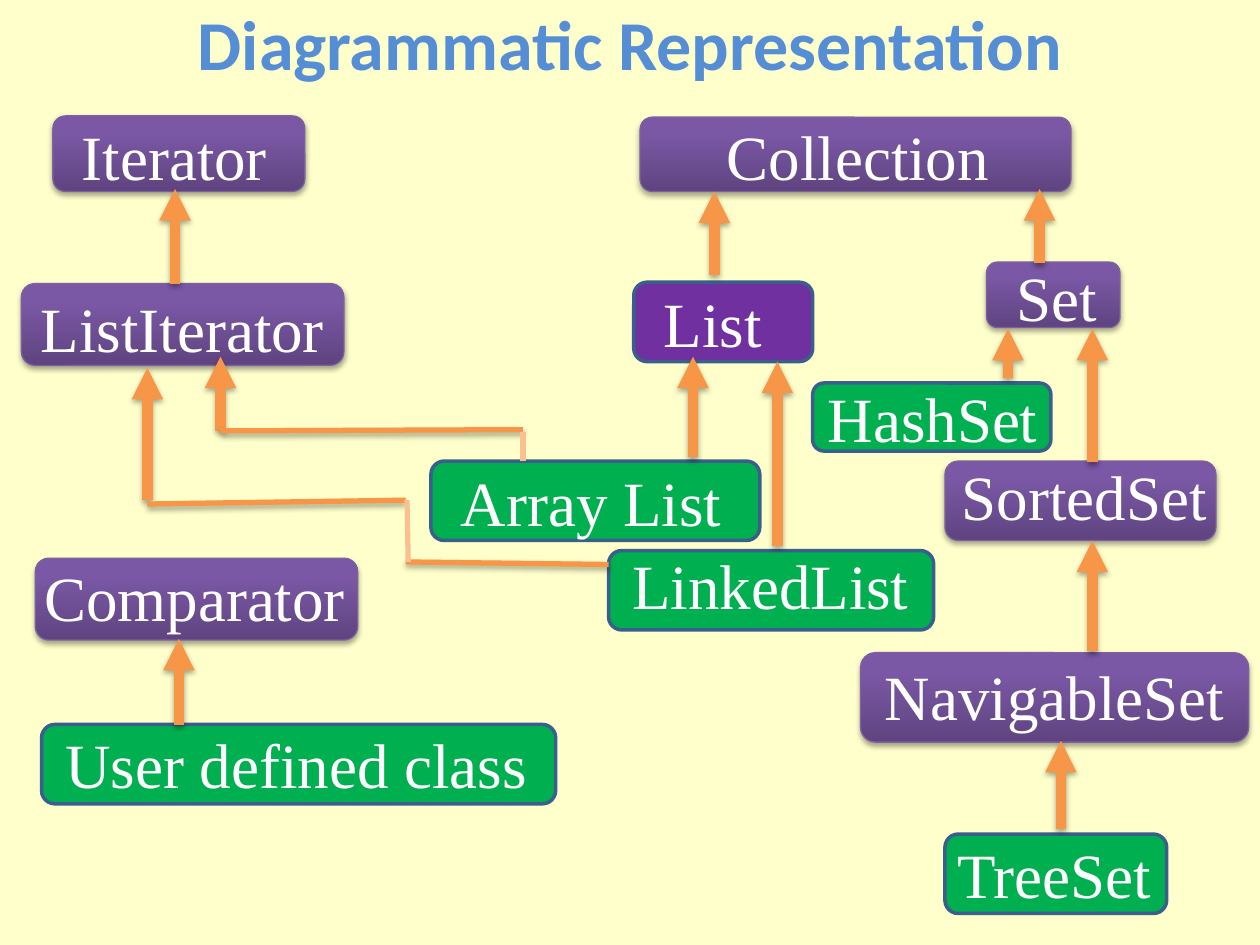
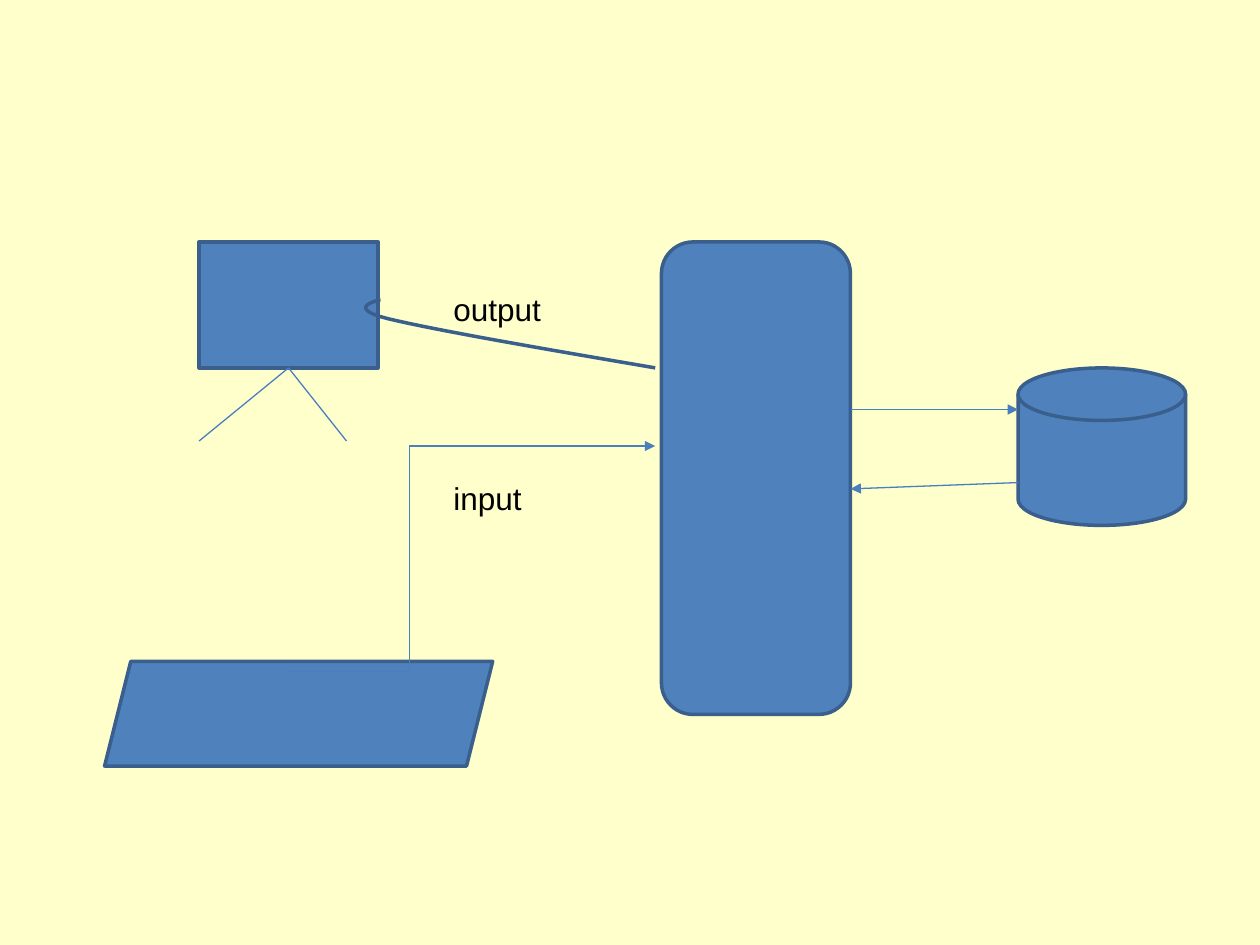
from copy import deepcopy

from lxml.etree import SubElement
from pptx import Presentation
from pptx.dml.color import RGBColor
from pptx.enum.shapes import MSO_CONNECTOR, MSO_SHAPE
from pptx.enum.text import MSO_ANCHOR, PP_ALIGN
from pptx.oxml.ns import qn
from pptx.util import Inches, Pt

COLORS = {
    "background": "FFFFCC",
    "title": "558ED5",
    "white": "FFFFFF",
    "black": "000000",
    "class": "00B050",
    "list": "7030A0",
    "interface_edge": "7D60A0",
    "edge": "3A5F8C",
    "arrow": "F79646",
    "pale_arrow": "FAC090",
    "device": "4F81BD",
    "wire": "4B7EBC",
}
INTERFACE_GRADIENT = [(0, "5F4480"), (0.8, "7B58A6"), (1, "7C57A8")]


def rgb(name):
    """Return the named colour of the palette."""
    return RGBColor.from_string(COLORS[name])


def bezier(start, control_1, control_2, end, steps=16):
    """Return points along a cubic curve, without its start."""
    points = []
    for step in range(1, steps + 1):
        t = step / steps
        weights = ((1 - t) ** 3, 3 * t * (1 - t) ** 2, 3 * t * t * (1 - t), t ** 3)
        corners = (start, control_1, control_2, end)
        points.append(tuple(sum(w * c[axis] for w, c in zip(weights, corners))
                            for axis in (0, 1)))
    return points


class Deck:
    """Holds the shared style and the current slide."""

    def __init__(self):
        """Start an empty 10 by 7.5 inch presentation."""
        self.presentation = Presentation()
        self.presentation.slide_width = Inches(10)
        self.presentation.slide_height = Inches(7.5)
        self.slide = None

    def new_slide(self):
        """Add a blank slide with the shared background."""
        self.slide = self.presentation.slides.add_slide(
            self.presentation.slide_layouts[6])
        background = self.slide.background.fill
        background.solid()
        background.fore_color.rgb = rgb("background")

    def text(self, words, box, size, font, color, align=PP_ALIGN.LEFT, bold=False):
        """Add a one-run text box and return its frame."""
        frame = self.slide.shapes.add_textbox(*map(Inches, box)).text_frame
        frame.word_wrap = True
        paragraph = frame.paragraphs[0]
        paragraph.alignment = align
        run = paragraph.add_run()
        run.text = words
        run.font.size = Pt(size)
        run.font.name = font
        run.font.bold = bold
        run.font.color.rgb = rgb(color)
        return frame

    def title(self, words):
        """Add the slide title across the top."""
        frame = self.text(words, (0, 0.03, 10, 0.62), 40, "Calibri", "title",
                          PP_ALIGN.CENTER, True)
        frame.vertical_anchor = MSO_ANCHOR.MIDDLE
        frame.margin_left = frame.margin_right = 0
        frame.margin_top = frame.margin_bottom = 0

    def shadow(self, effects):
        """Put the soft drop shadow into an effect list."""
        outer = SubElement(effects, qn("a:outerShdw"), blurRad="40000",
                           dist="23000", dir="5400000", rotWithShape="0")
        color = SubElement(outer, qn("a:srgbClr"), val=COLORS["black"])
        SubElement(color, qn("a:alpha"), val="35000")

    def shape(self, preset, box, fill="device", edge="edge", weight=2):
        """Add a filled, outlined preset shape."""
        shape = self.slide.shapes.add_shape(preset, *map(Inches, box))
        shape.shadow.inherit = False
        shape.fill.solid()
        shape.fill.fore_color.rgb = rgb(fill)
        shape.line.color.rgb = rgb(edge)
        shape.line.width = Pt(weight)
        return shape

    def label(self, words, box, align):
        """Add the large white name of a diagram node."""
        self.text(words, (*box, 0.71), 36, "Times New Roman", "white", align)

    def solid_node(self, words, box, label_box, fill="class"):
        """Add a plain node with a left-aligned name."""
        self.shape(MSO_SHAPE.ROUNDED_RECTANGLE, box, fill)
        self.label(words, label_box, PP_ALIGN.LEFT)

    def interface_node(self, words, box, label_box):
        """Add a shaded, shadowed node with a centred name."""
        node = self.shape(MSO_SHAPE.ROUNDED_RECTANGLE, box,
                          edge="interface_edge", weight=0.75)
        node.fill.gradient()
        node.fill.gradient_angle = 90
        properties = node._element.spPr
        stop_list = properties.find(".//" + qn("a:gsLst"))
        stop_list.append(deepcopy(stop_list[-1]))
        for stop, (position, color) in zip(node.fill.gradient_stops, INTERFACE_GRADIENT):
            stop.position = position
            stop.color.rgb = RGBColor.from_string(color)
        self.shadow(properties.find(qn("a:effectLst")))
        self.label(words, label_box, PP_ALIGN.CENTER)

    def line(self, start, end, color="wire", weight=0.75, head=False,
             shadow=False, bend=None):
        """Add a connector; bend is the turning point of an elbow."""
        kind = MSO_CONNECTOR.STRAIGHT if bend is None else MSO_CONNECTOR.ELBOW
        connector = self.slide.shapes.add_connector(kind, *map(Inches, (*start, *end)))
        connector.line.color.rgb = rgb(color)
        connector.line.width = Pt(weight)
        properties = connector._element.spPr
        if head:
            SubElement(properties.find(qn("a:ln")), qn("a:tailEnd"), type="triangle")
        if bend is not None:
            guides = properties.find(".//" + qn("a:avLst"))
            SubElement(guides, qn("a:gd"), name="adj1", fmla=f"val {round(bend * 100000)}")
        effects = SubElement(properties, qn("a:effectLst"))
        if shadow:
            self.shadow(effects)

    def inherits(self, start, end):
        """Add a thick arrow from a type to its parent."""
        self.line(start, end, "arrow", 6, head=True, shadow=True)

    def curve(self, points):
        """Add an open outline through the points."""
        scaled = [(Inches(x), Inches(y)) for x, y in points]
        builder = self.slide.shapes.build_freeform(*scaled[0])
        builder.add_line_segments(scaled[1:], close=False)
        cable = builder.convert_to_shape()
        cable.shadow.inherit = False
        cable.fill.background()
        cable.line.color.rgb = rgb("edge")
        cable.line.width = Pt(2)


def collection_slide(deck):
    """Draw the hierarchy of collection types."""
    deck.new_slide()
    deck.title("Diagrammatic Representation")

    # Name, box, then left, top and width of the name
    interfaces = [
        ("Collection", (5.08, 0.93, 3.42, 0.59), (5.2, 0.88, 3.22)),
        ("Set", (7.83, 2.08, 1.06, 0.52), (7.83, 2, 1.11)),
        ("SortedSet", (7.5, 3.66, 2.15, 0.63), (7.5, 3.58, 2.21)),
        ("NavigableSet", (6.83, 5.18, 3.08, 0.71), (6.83, 5.17, 3.08)),
        ("Iterator", (0.42, 0.92, 2, 0.6), (0.44, 0.88, 1.89)),
        ("ListIterator", (0.17, 2.25, 2.56, 0.65), (0.17, 2.25, 2.56)),
        ("Comparator", (0.28, 4.43, 2.56, 0.65), (0.17, 4.38, 2.75)),
    ]
    for interface in interfaces:
        deck.interface_node(*interface)

    deck.solid_node("List", (5.03, 2.24, 1.42, 0.63), (5.17, 2.21, 1.2), "list")
    classes = [
        ("Array List", (3.42, 3.66, 2.61, 0.63), (3.56, 3.63, 2.39)),
        ("LinkedList", (4.83, 4.37, 2.58, 0.63), (4.92, 4.29, 2.5)),
        ("HashSet", (6.45, 3.04, 1.89, 0.54), (6.47, 2.96, 1.89)),
        ("TreeSet", (7.5, 6.62, 1.76, 0.63), (7.5, 6.58, 1.76)),
        ("User defined class", (0.33, 5.75, 4.08, 0.63), (0.42, 5.71, 3.92)),
    ]
    for concrete in classes:
        deck.solid_node(*concrete)

    # Each arrow climbs at one x, from its bottom to its top
    climbs = [
        (5.67, 2.18, 1.52), (8.25, 2.09, 1.5), (8.67, 3.67, 2.61),
        (8.67, 5.17, 4.29), (1.39, 2.25, 1.5), (6.17, 4.33, 2.87),
        (5.5, 3.63, 2.83), (1.75, 3.42, 2.83), (8.42, 6.58, 5.88),
        (1.17, 3.97, 2.92), (8, 3, 2.61), (1.42, 5.75, 5.07),
    ]
    for x, bottom, top in climbs:
        deck.inherits((x, bottom), (x, top))

    # Paths from the list classes to ListIterator
    for start, end in [((1.75, 3.42), (4.15, 3.41)),
                       ((1.17, 4), (3.22, 3.97)),
                       ((3.22, 4.46), (4.83, 4.48))]:
        deck.line(start, end, "arrow", 3, shadow=True)
    for start, end in [((4.15, 3.43), (4.15, 3.66)),
                       ((3.23, 3.97), (3.24, 4.46))]:
        deck.line(start, end, "pale_arrow", 3)


def computer_slide(deck):
    """Draw a computer with its screen, keyboard and storage."""
    deck.new_slide()
    deck.shape(MSO_SHAPE.PARALLELOGRAM, (0.83, 5.25, 3.08, 0.83))
    deck.shape(MSO_SHAPE.RECTANGLE, (1.58, 1.92, 1.42, 1))
    for foot in (1.58, 2.75):
        deck.line((2.29, 2.92), (foot, 3.5))
    deck.shape(MSO_SHAPE.ROUNDED_RECTANGLE, (5.25, 1.92, 1.5, 3.75))
    deck.shape(MSO_SHAPE.FLOWCHART_MAGNETIC_DISK, (8.08, 2.92, 1.33, 1.25))

    deck.line((2.29, 5.33), (5.2, 3.54), head=True, bend=0.33)
    processor, middle, screen = (5.2, 2.92), (3.08, 2.53), (3.02, 2.38)
    deck.curve([processor,
                *bezier(processor, (4.32, 2.77), (3.45, 2.62), middle),
                *bezier(middle, (2.72, 2.44), screen, screen)])
    deck.line((6.75, 3.25), (8.08, 3.25), head=True)
    deck.line((8.08, 3.83), (6.75, 3.88), head=True)

    for words, top in (("input", 3.75), ("output", 2.25)):
        deck.text(words, (3.5, top, 1.17, 0.42), 18, "Arial", "black")


def main():
    """Build and save the presentation."""
    deck = Deck()
    collection_slide(deck)
    computer_slide(deck)
    deck.presentation.save("out.pptx")


main()
